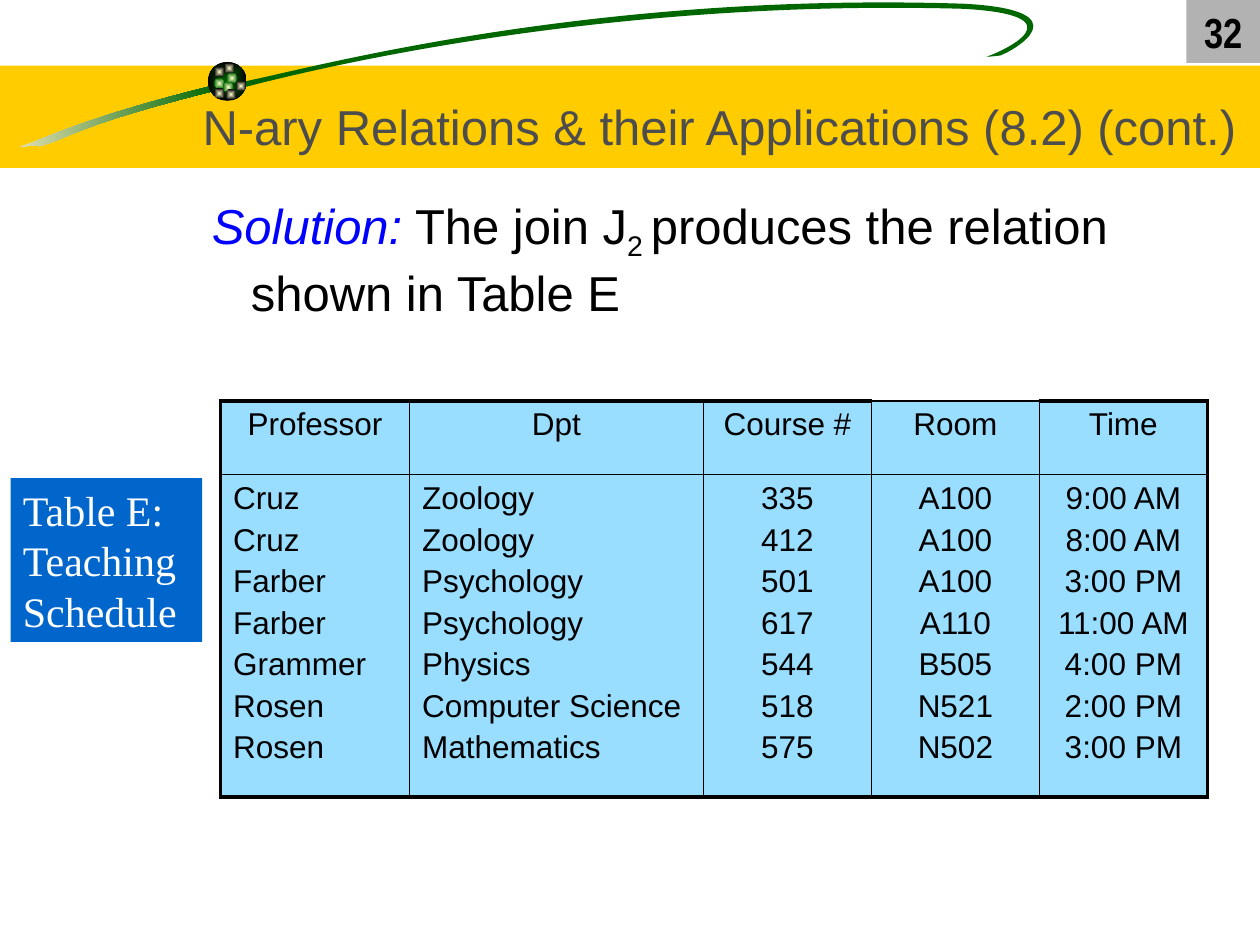
from itertools import chain
from math import cos, radians, sin
from typing import NamedTuple

from lxml.etree import SubElement
from pptx import Presentation
from pptx.dml.color import RGBColor
from pptx.enum.shapes import MSO_SHAPE
from pptx.enum.text import MSO_ANCHOR, MSO_AUTO_SIZE, PP_ALIGN
from pptx.oxml import parse_xml
from pptx.oxml.ns import nsdecls, qn
from pptx.util import Inches, Pt

SLIDE_W, SLIDE_H = Inches(10), Inches(7.5)
UNIT = SLIDE_W // 120  # the slide is a grid of 120 columns and 90 rows
TENTH = SLIDE_W // 10  # curve points are tenths of the slide width
TILT = -8.5

COLORS = {
    "band": "FFCC00", "sand": "F5EBC1", "green": "006600", "black": "000000",
    "glow": "FFFFCC", "corner": "B2B2B2", "title": "4D4D4D", "lead": "0000FF",
    "cell": "99DDFF", "label": "0066CC", "white": "FFFFFF",
}


class Box(NamedTuple):
    left: float
    top: float
    width: float
    height: float

    def emu(self) -> list[int]:
        return [round(cells * UNIT) for cells in self]


class Column(NamedTuple):
    heading: str
    span: int
    entries: list[str]
    align: PP_ALIGN = PP_ALIGN.CENTER
    top_line: float = 2.25


class Dot(NamedTuple):
    left: float
    top: float
    rim: str


class Curve(NamedTuple):
    """A start point followed by cubic segments of three points each."""
    center: tuple[float, float]
    points: list[tuple[float, float]]


DOTS = [
    Dot(21.6, 6.95, "green"), Dot(20.4, 6.35, "black"), Dot(20.4, 7.45, "green"),
    Dot(21.25, 7.8, "green"), Dot(22.45, 7.7, "black"), Dot(21.5, 8.5, "black"),
    Dot(20.4, 8.4, "black"), Dot(21.35, 6, "black"),
]

TAIL = Curve((0.86, 0.95), [
    (1.69, 0.68),
    (0.87, 0.88), (0.48, 1.04), (0.26, 1.13),
    (0.03, 1.21), (0.27, 1.13), (0.31, 1.16),
    (0.55, 1.1), (0.56, 1.01), (1.7, 0.72),
    (1.7, 0.72), (1.69, 0.68), (1.69, 0.68),
])
SWOOSH = Curve((5.26, 0.33), [
    (1.92, 0.65),
    (2.33, 0.58), (4.58, -0.07), (7.65, 0.03),
    (8.61, 0.08), (8.05, 0.4), (7.94, 0.44),
    (7.94, 0.44), (7.87, 0.45), (7.83, 0.45),
    (7.93, 0.42), (8.61, 0.12), (7.64, 0.07),
    (5.16, 0), (3.03, 0.41), (1.95, 0.69),
    (1.95, 0.69), (1.92, 0.65), (1.92, 0.65),
])

SCHEDULE = [
    Column("Professor", 18, ["Cruz", "Cruz", "Farber", "Farber", "Grammer",
                             "Rosen", "Rosen"], PP_ALIGN.LEFT),
    Column("Dpt", 28, ["Zoology", "Zoology", "Psychology", "Psychology", "Physics",
                       "Computer Science", "Mathematics"], PP_ALIGN.LEFT),
    Column("Course #", 16, ["335", "412", "501", "617", "544", "518", "575"]),
    Column("Room", 16, ["A100", "A100", "A100", "A110", "B505", "N521", "N502"],
           top_line=1),
    Column("Time", 16, ["9:00 AM", "8:00 AM", "3:00 PM", "11:00 AM", "4:00 PM",
                        "2:00 PM", "3:00 PM"]),
]


def rgb(color: str) -> RGBColor:
    return RGBColor.from_string(COLORS[color])


def set_all(target, **values) -> None:
    for key, value in values.items():
        setattr(target, key, value)


def style_font(font, color: str, **values) -> None:
    set_all(font, **values)
    font.color.rgb = rgb(color)


def paint(shape, color: str):
    shape.shadow.inherit = False
    shape.line.fill.background()
    shape.fill.solid()
    shape.fill.fore_color.rgb = rgb(color)
    return shape


def blend(shape, start: str, end: str, radial: bool = False) -> None:
    """Fill with a two-colour gradient, left to right or from the centre out."""
    shape.fill.gradient()
    shape.fill.gradient_angle = 0
    for stop, color, position in zip(shape.fill.gradient_stops, (start, end), (0, 1)):
        stop.color.rgb = rgb(color)
        stop.position = position
    if radial:
        linear = next(shape._element.spPr.iter(qn("a:lin")))
        linear.getparent().replace(linear, parse_xml(
            f'<a:path {nsdecls("a")} path="shape"><a:fillToRect '
            'l="50000" t="50000" r="50000" b="50000"/></a:path>'))


def add_block(shapes, kind: MSO_SHAPE, box: Box, color: str):
    return paint(shapes.add_shape(kind, *box.emu()), color)


def add_curve(shapes, curve: Curve, color: str):
    """Build the curve level, make its segments cubic, then tilt it into place."""
    cx, cy = curve.center
    c, s = cos(radians(-TILT)), sin(radians(-TILT))
    start, *rest = [(round((cx + (x - cx) * c - (y - cy) * s) * TENTH),
                     round((cy + (x - cx) * s + (y - cy) * c) * TENTH))
                    for x, y in curve.points]
    builder = shapes.build_freeform(*start, scale=1)
    builder.add_line_segments(rest, close=True)
    shape = builder.convert_to_shape()
    lines = list(shape._element.spPr.iter(qn("a:lnTo")))
    for first in range(0, len(rest), 3):
        cubic = SubElement(lines[first].getparent(), qn("a:cubicBezTo"))
        lines[first].addprevious(cubic)
        for line in lines[first:first + 3]:
            cubic.append(line[0])
            line.getparent().remove(line)
    shape.rotation = TILT
    return paint(shape, color)


def add_ball(shapes) -> None:
    ball = add_block(shapes, MSO_SHAPE.OVAL, Box(19.8, 5.9, 3.7, 3.7), "green")
    blend(ball, "green", "black", radial=True)
    for dot in DOTS:
        spot = add_block(shapes, MSO_SHAPE.OVAL, Box(dot.left, dot.top, 1, 1), "glow")
        blend(spot, "glow", dot.rim, radial=True)


def add_solution(shapes) -> None:
    frame = shapes.add_textbox(*Box(13, 18, 107, 14).emu()).text_frame
    frame.word_wrap = True
    sentence = frame.paragraphs[0]
    sentence.space_before = Pt(3)
    for key, value in {"marL": Inches(0.81), "indent": Inches(-0.31)}.items():
        sentence._p.get_or_add_pPr().set(key, str(value))
    parts = [("Solution:", "lead", 0), (" The join J", "black", 0),
             ("2 ", "black", -25000), ("produces the relation shown in Table E", "black", 0)]
    for words, color, baseline in parts:
        run = sentence.add_run()
        run.text = words
        style_font(run.font, color, name="Arial", size=Pt(28), italic=color == "lead")
        if baseline:
            run.font._element.set("baseline", str(baseline))


def rule_cell(cell, **widths: float) -> None:
    """Draw the cell's L, R, T and B borders, given in points in that order."""
    properties = cell._tc.get_or_add_tcPr()
    for index, (side, width) in enumerate(widths.items()):
        line = SubElement(properties, qn(f"a:ln{side}"), w=str(Pt(width)))
        fill = SubElement(line, qn("a:solidFill"))
        SubElement(fill, qn("a:srgbClr"), val=COLORS["black"])
        properties.insert(index, line)


def add_schedule(shapes) -> None:
    row_spans = 7, 30.7
    total = sum(column.span for column in SCHEDULE)
    box = Box(21, 38.2, total, sum(row_spans))
    table = shapes.add_table(2, len(SCHEDULE), *box.emu()).table
    set_all(table, first_row=False, horz_banding=False)
    for row, span in zip(table.rows, row_spans):
        row.height = round(span * UNIT)
    last = len(SCHEDULE) - 1
    for index, column in enumerate(SCHEDULE):
        table.columns[index].width = column.span * UNIT
        contents = [(column.heading, PP_ALIGN.CENTER, column.top_line, 1),
                    ("\n".join(column.entries), column.align, 1, 2.25)]
        for row, (words, align, top, bottom) in enumerate(contents):
            cell = table.cell(row, index)
            cell.text = words
            cell.fill.solid()
            cell.fill.fore_color.rgb = rgb("cell")
            for entry in cell.text_frame.paragraphs:
                set_all(entry, alignment=align, space_before=Pt(3.6))
                style_font(entry.runs[0].font, "black", name="Arial", size=Pt(18))
            rule_cell(cell, L=2.25 if index == 0 else 1, R=2.25 if index == last else 1,
                      T=top, B=bottom)


def write(shape, words: str, color: str, align: PP_ALIGN, anchor: MSO_ANCHOR,
          wrap: bool = True, **font) -> None:
    frame = shape.text_frame
    frame.text = words
    set_all(frame, vertical_anchor=anchor, word_wrap=wrap, auto_size=MSO_AUTO_SIZE.NONE)
    for paragraph in frame.paragraphs:
        paragraph.alignment = align
    for run in chain.from_iterable(p.runs for p in frame.paragraphs):
        style_font(run.font, color, **font)


def main() -> None:
    deck = Presentation()
    set_all(deck, slide_width=SLIDE_W, slide_height=SLIDE_H)
    shapes = deck.slides.add_slide(deck.slide_layouts[5]).shapes

    add_block(shapes, MSO_SHAPE.RECTANGLE, Box(0, 6.25, 120, 9.75), "band")
    blend(add_curve(shapes, TAIL, "green"), "sand", "green")
    add_curve(shapes, SWOOSH, "green")
    add_ball(shapes)
    page = add_block(shapes, MSO_SHAPE.RECTANGLE, Box(113, 0, 7, 6), "corner")
    write(page, "32", "black", PP_ALIGN.CENTER, MSO_ANCHOR.MIDDLE,
          name="Arial Narrow", size=Pt(24), bold=True)

    title = shapes.title
    shapes._spTree.append(title._element)  # bring the title in front of the band
    set_all(title, **dict(zip(("left", "top", "width", "height"),
                              Box(17, 7, 103, 10).emu())))
    write(title, "N-ary Relations & their Applications (8.2) (cont.)", "title",
          PP_ALIGN.CENTER, MSO_ANCHOR.MIDDLE, name="Arial", size=Pt(28))

    add_solution(shapes)
    add_schedule(shapes)
    label = add_block(shapes, MSO_SHAPE.RECTANGLE, Box(1, 45.55, 18.25, 15.6), "label")
    write(label, "Table E:\nTeaching \vSchedule", "white", PP_ALIGN.LEFT, MSO_ANCHOR.TOP,
          wrap=False, name="Times New Roman", size=Pt(24))
    deck.save("out.pptx")


if __name__ == "__main__":
    main()
